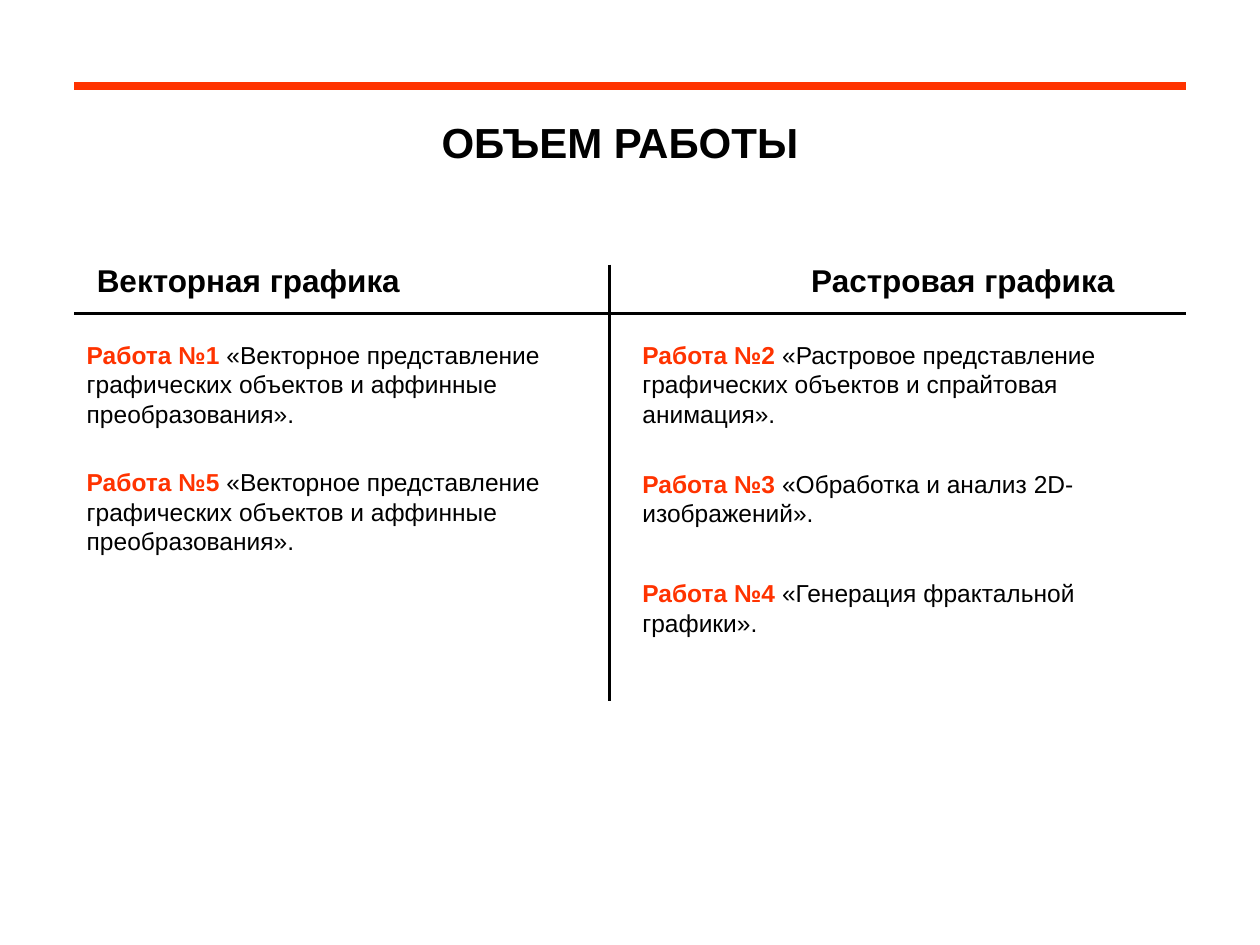
from lxml import etree
from pptx import Presentation
from pptx.dml.color import RGBColor
from pptx.enum import shapes, text
from pptx.oxml import ns
from pptx.util import Inches, Pt

COLORS = {"accent": "FF3300", "ink": "000000"}
LEFT, RIGHT = 0.59, 9.41
HEADING_SIZE = (3.07, 0.4)


def add_text(slide, box, runs, size, align=text.PP_ALIGN.LEFT,
             anchor=text.MSO_ANCHOR.TOP, grow=True):
    frame = slide.shapes.add_textbox(*map(Inches, box)).text_frame
    frame.word_wrap = True
    frame.vertical_anchor = anchor
    if grow:
        frame.auto_size = text.MSO_AUTO_SIZE.SHAPE_TO_FIT_TEXT
    paragraph = frame.paragraphs[0]
    paragraph.alignment = align
    for words, color, bold in runs:
        run = paragraph.add_run()
        run.text = words
        run.font.name = "Arial"
        run.font.size = Pt(size)
        run.font.bold = bold
        run.font.color.rgb = RGBColor.from_string(COLORS[color])


def add_rule(slide, start, end, color, width):
    rule = slide.shapes.add_connector(
        shapes.MSO_CONNECTOR.STRAIGHT, *map(Inches, start + end))
    rule.line.color.rgb = RGBColor.from_string(COLORS[color])
    rule.line.width = Pt(width)
    etree.SubElement(rule._element.spPr, ns.qn("a:effectLst"))


def add_header(slide, box):
    add_text(slide, box, [("ОБЪЕМ РАБОТЫ", "ink", True)], 24,
             align=text.PP_ALIGN.CENTER, anchor=text.MSO_ANCHOR.MIDDLE, grow=False)
    add_rule(slide, (LEFT, 0.68), (RIGHT, 0.68), "accent", 4.5)


def add_grid(slide, left, top, right, bottom):
    add_rule(slide, (4.84, top), (4.84, bottom), "ink", 1.5)
    add_rule(slide, (left, 2.49), (right, 2.49), "ink", 1.5)


def add_column(slide, left, heading, heading_left, works):
    add_text(slide, (heading_left, 2.02, *HEADING_SIZE), [(heading, "ink", True)], 18)
    for number, topic, top, width, height in works:
        add_text(slide, (left, top, width, height),
                 [(f"Работа №{number}", "accent", True), (f" «{topic}».", "ink", False)], 14)


def main():
    deck = Presentation()
    deck.slide_width, deck.slide_height = Inches(10), Inches(7.5)
    slide = deck.slides.add_slide(deck.slide_layouts[6])

    add_header(slide, (0.67, 0.85, 8.5, 0.55))
    add_grid(slide, LEFT, 2.1, RIGHT, 5.56)

    vector_topic = "Векторное представление графических объектов и аффинные преобразования"
    add_column(slide, LEFT, "Векторная графика", 0.67, [
        (1, vector_topic, 2.65, 4.1, 0.8),
        (5, vector_topic, 3.66, 4.1, 0.8),
    ])
    add_column(slide, 5, "Растровая графика", RIGHT - HEADING_SIZE[0], [
        (2, "Растровое представление графических объектов и спрайтовая анимация", 2.65, 4.41, 0.8),
        (3, "Обработка и анализ 2D-изображений", 3.67, 4.1, 0.57),
        (4, "Генерация фрактальной графики", 4.54, 4.1, 0.57),
    ])
    deck.save("out.pptx")


if __name__ == "__main__":
    main()
